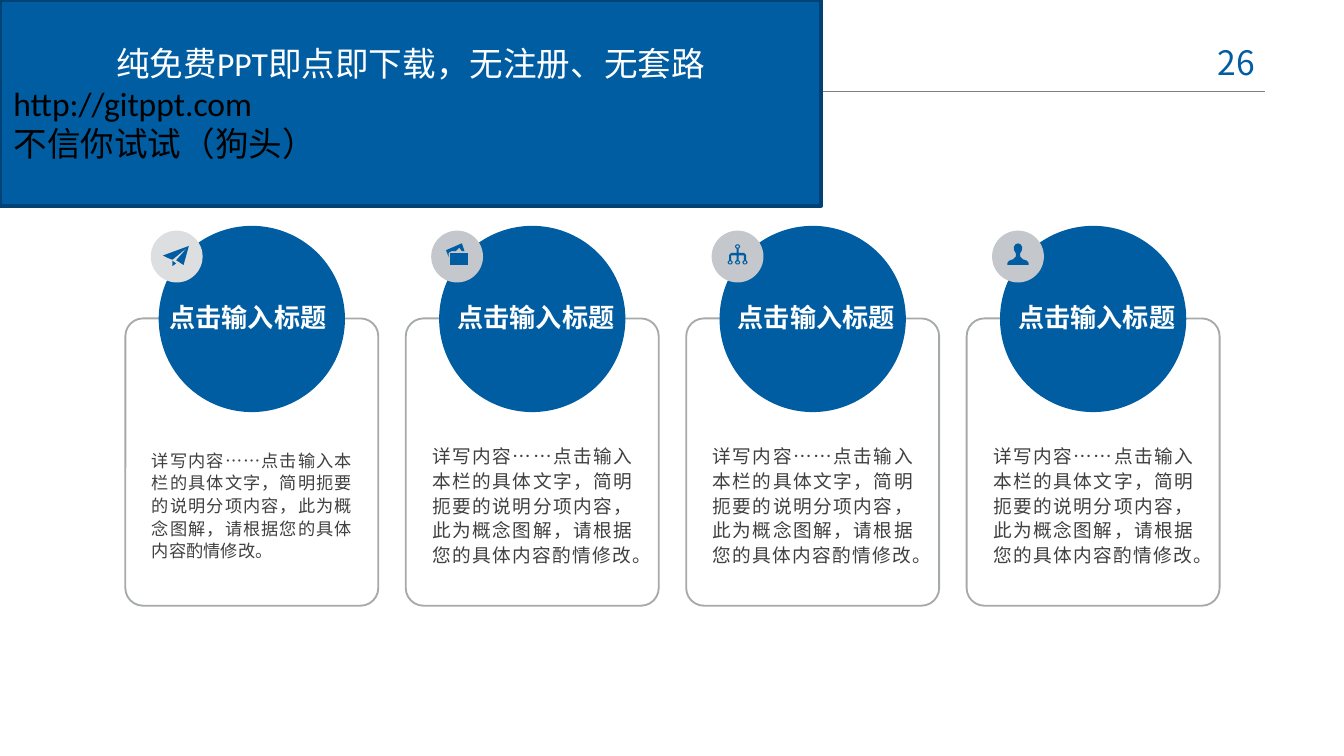
import math

from pptx import Presentation
from pptx import util as u
from pptx.dml.color import RGBColor
from pptx.enum import shapes, text
from pptx.oxml.ns import qn

COLORS = {
    "blue": "005DA2", "navy": "004276", "white": "FFFFFF", "black": "000000",
    "rule": "7F7F7F", "border": "A6AAA9", "body": "404040",
    "pale": "DCDEE0", "silver": "C4C7CB",
}
CJK_FONT = "Noto Sans CJK SC"
PITCH = 5.3
BADGE = 0.98
HEADING = "点击输入标题"
DETAIL = ("详写内容……点击输入本栏的具体文字，简明扼要的说明分项内容，"
          "此为概念图解，请根据您的具体内容酌情修改。")
BANNER = "纯免费PPT即点即下载，无注册、无套路\nhttp://gitppt.com\n不信你试试（狗头）"


def mirrored(points):
    """Close a left or right half outline with its reflection in the badge axis."""
    return points + [(98 - x, y) for x, y in reversed(points)]


def ring(x, y):
    """Outer and inner contour of a small node, wound in opposite directions."""
    def circle(radius, turn):
        steps = [turn * 2 * math.pi * i / 16 for i in range(16)]
        return [(x + radius * math.cos(a), y + radius * math.sin(a)) for a in steps]
    return [circle(4.5, 1), circle(2.5, -1)]


# Icon contours, in hundredths of a centimetre from the badge's corner
PLANE = [
    [(41, 67), (48, 62), (41, 57)],
    [(72, 29), (23, 47), (33, 52), (41, 55), (69, 32), (48, 56), (62, 65)],
]
PHOTO_BACK = [[(63, 39), (58, 24), (28, 37), (33, 50), (33, 42), (38, 39),
               (46, 39), (53, 32), (58, 39)]]
PHOTO_FRONT = [[(36, 42), (69, 42), (69, 65), (36, 65)]]
TREE = [
    mirrored([(47, 34), (47, 42), (37, 42), (33, 46), (33, 56), (37, 56),
              (37, 47), (47, 47), (47, 56)]),
    *ring(49, 30), *ring(35, 60), *ring(49, 60), *ring(63, 60),
]
PERSON = [mirrored([(49, 24), (54, 26), (57, 31), (56, 38), (53, 43), (53, 49),
                    (58, 54), (66, 57), (69, 61), (69, 65)])]

# Badge colour, icon parts, heading left edge, detail size
CARDS = [
    ("pale", [PLANE], 3.04, 9.2),
    ("silver", [PHOTO_BACK, PHOTO_FRONT], 3.18, 10),
    ("silver", [TREE], 3.18, 10),
    ("silver", [PERSON], 3.18, 10),
]


class SlideBuilder:
    """Holds the style and the current slide."""

    def __init__(self, page):
        self.page = page

    def color(self, name):
        return RGBColor.from_string(COLORS[name])

    def paint(self, shape, fill=None, line=None, width=1):
        if fill:
            shape.fill.solid()
            shape.fill.fore_color.rgb = self.color(fill)
        else:
            shape.fill.background()
        if line:
            shape.line.color.rgb = self.color(line)
            shape.line.width = u.Pt(width)
        else:
            shape.line.fill.background()

    def format_span(self, span, size, color, bold=False, font=CJK_FONT):
        span.font.size = u.Pt(size)
        span.font.bold = bold
        span.font.name = font
        span.font.color.rgb = self.color(color)
        east_asian = span.font._element.makeelement(qn("a:ea"), {"typeface": CJK_FONT})
        span.font._element.find(qn("a:latin")).addnext(east_asian)

    def shape(self, kind, left, top, width, height, **style):
        shape = self.page.shapes.add_shape(
            kind, u.Cm(left), u.Cm(top), u.Cm(width), u.Cm(height))
        shape.shadow.inherit = False
        self.paint(shape, **style)
        return shape

    def icon(self, contours, left, top):
        first, *others = contours
        builder = self.page.shapes.build_freeform(*first[0], scale=u.Cm(0.01))
        builder.add_line_segments(first[1:], close=True)
        for contour in others:
            builder.move_to(*contour[0])
            builder.add_line_segments(contour[1:], close=True)
        shape = builder.convert_to_shape(u.Cm(left), u.Cm(top))
        shape.shadow.inherit = False
        self.paint(shape, fill="blue")

    def rule(self, left, right, y):
        line = self.page.shapes.add_connector(
            shapes.MSO_CONNECTOR.STRAIGHT, u.Cm(left), u.Cm(y), u.Cm(right), u.Cm(y))
        line.line.color.rgb = self.color("rule")
        line.line.width = u.Pt(0.75)
        properties = line._element.spPr
        properties.append(properties.makeelement(qn("a:effectLst"), {}))

    def label(self, words, left, top, width, height, size, color, bold=False,
              align=text.PP_ALIGN.CENTER, anchor=text.MSO_ANCHOR.MIDDLE, spacing=1.0):
        box = self.page.shapes.add_textbox(
            u.Cm(left), u.Cm(top), u.Cm(width), u.Cm(height))
        frame = box.text_frame
        frame.word_wrap = True
        frame.vertical_anchor = anchor
        frame.margin_left = frame.margin_right = 0
        frame.margin_top = frame.margin_bottom = 0
        frame.text = words
        para = frame.paragraphs[0]
        para.alignment = align
        para.line_spacing = spacing
        self.format_span(para.runs[0], size, color, bold)

    def banner(self, words):
        title = self.page.shapes.title
        title.left = title.top = 0
        title.width, title.height = u.Cm(15.52), u.Cm(3.89)
        self.paint(title, fill="blue", line="navy", width=2)
        frame = title.text_frame
        frame.text = words
        frame.word_wrap = True
        frame.auto_size = text.MSO_AUTO_SIZE.NONE
        frame.vertical_anchor = text.MSO_ANCHOR.MIDDLE
        for index, para in enumerate(frame.paragraphs):
            para.alignment = text.PP_ALIGN.LEFT if index else text.PP_ALIGN.CENTER
            self.format_span(para.runs[0], 18, "black" if index else "white",
                             font="Calibri")
        # The banner lies over the header rule
        title.element.getparent().append(title.element)

    def card(self, offset, badge_color, icon_parts, heading_left, detail_size):
        kinds = shapes.MSO_SHAPE
        frame = self.shape(kinds.ROUNDED_RECTANGLE, 2.37 + offset, 6.02, 4.78, 5.43,
                           line="border")
        frame.adjustments[0] = 0.07
        self.shape(kinds.OVAL, 3.0 + offset, 4.27, 3.52, 3.52, fill="blue")
        badge_left, badge_top = 2.85 + offset, 4.36
        self.shape(kinds.OVAL, badge_left, badge_top, BADGE, BADGE, fill=badge_color)
        for contours in icon_parts:
            self.icon(contours, badge_left, badge_top)
        self.label(HEADING, heading_left + offset, 5.44, 3.3, 1.19, 14, "white",
                   bold=True, spacing=0.9)
        self.label(DETAIL, 2.87 + offset, 8.36, 3.78, 2.36, detail_size, "body",
                   align=text.PP_ALIGN.JUSTIFY, spacing=1.1)


def main():
    deck = Presentation()
    deck.slide_width, deck.slide_height = u.Cm(25.4), u.Cm(14.29)
    builder = SlideBuilder(deck.slides.add_slide(deck.slide_layouts[5]))
    builder.rule(2.11, 23.9, 1.73)
    builder.label("26 ", 22.76, 0.79, 1.35, 1.68, 18, "blue",
                  anchor=text.MSO_ANCHOR.TOP)
    for index, card in enumerate(CARDS):
        builder.card(index * PITCH, *card)
    builder.banner(BANNER)
    deck.save("out.pptx")


if __name__ == "__main__":
    main()
